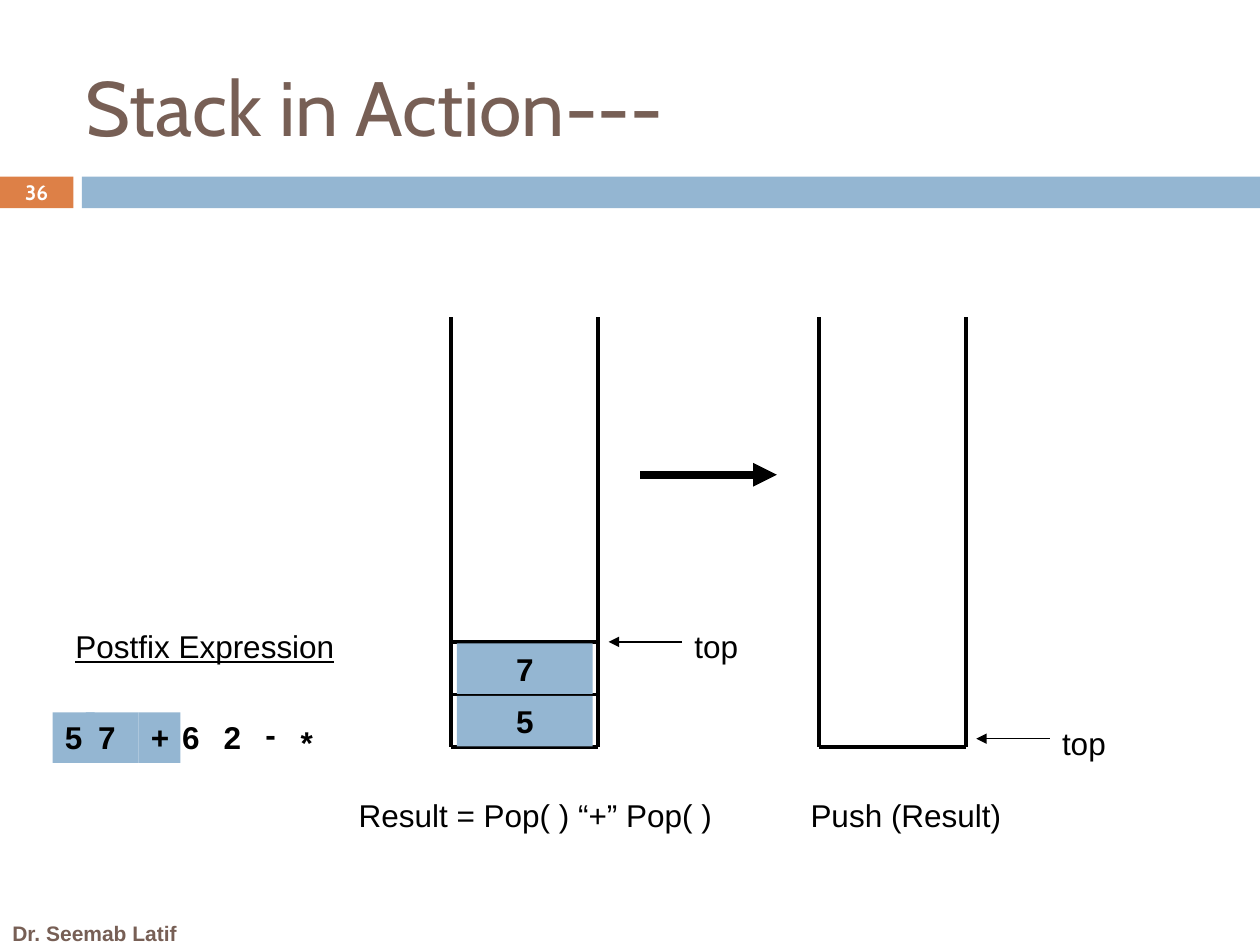
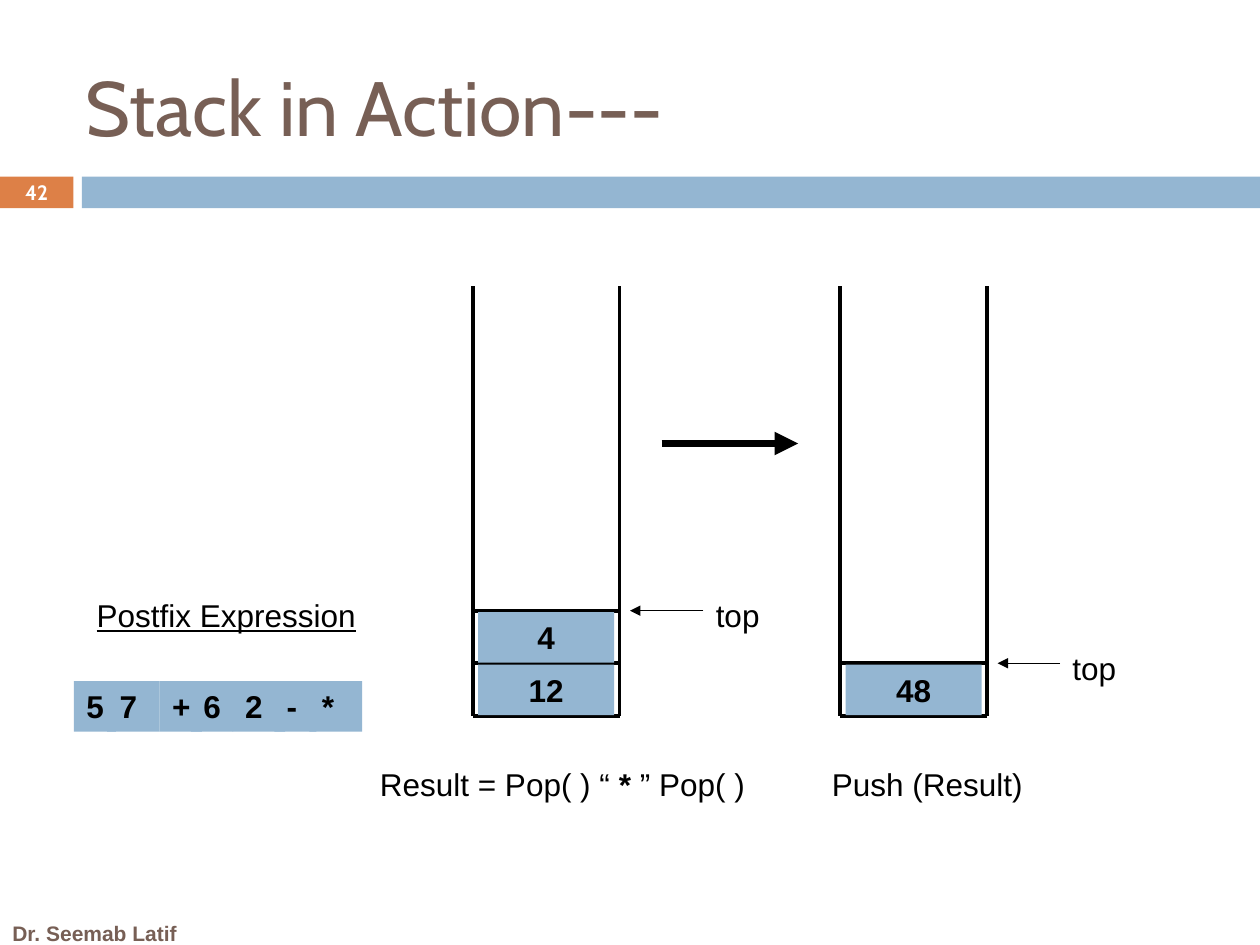
from lxml import etree
from pptx import Presentation
from pptx.dml.color import RGBColor
from pptx.enum import shapes, text
from pptx.oxml.ns import qn
from pptx.util import Cm, Pt

BLUE = RGBColor(0x94, 0xB6, 0xD2)
ORANGE = RGBColor(0xDD, 0x80, 0x47)
BROWN = RGBColor(0x77, 0x5F, 0x55)
BLACK = RGBColor(0, 0, 0)
WHITE = RGBColor(255, 255, 255)

# Content: origin is the bottom left corner of the left stack, in cm;
# result holds (text, bold) runs, stacks list their values from the bottom up
TITLE = "Stack in Action---"
AUTHOR = "Dr. Seemab Latif"
STEPS = [
    {
        "number": 36,
        "origin": (9.1, 15.06),
        "tokens_read": 3,
        "token_drops": {"-": -0.07, "*": 0.1},
        "result": [("Result = Pop( ) “+” Pop( )", False)],
        "left_stack": ["5", "7"],
        "right_stack": [],
        "right_label_gap": 1.69,
    },
    {
        "number": 42,
        "origin": (9.53, 14.43),
        "tokens_read": 7,
        "token_drops": {},
        "result": [("Result = Pop( ) “ ", False), ("*", True), (" ” Pop( )", False)],
        "left_stack": ["12", "4"],
        "right_stack": ["48"],
        "right_label_gap": 1.47,
    },
]
# Symbol, distance from the first token, width
TOKENS = [("5", 0, 0.85), ("7", 0.67, 1.06), ("+", 1.73, 0.85), ("6", 2.36, 0.85),
          ("2", 3.2, 1.06), ("-", 4.04, 0.85), ("*", 4.75, 1.06)]

# Measures in cm
STACK_WIDTH, STACK_HEIGHT = 2.96, 8.66
STACK_STEP = 7.41
CELL_PITCH, CELL_MARGIN = 1.06, 0.11
LINE_HEIGHT = 1.02
LEFT_LABEL_GAP = 1.69


def set_font(paragraph, size, color, name="Arial", bold=False):
    font = paragraph.font
    font.size, font.name, font.bold = Pt(size), name, bold
    font.color.rgb = color


def add_box(slide, left, top, width, height, fill):
    box = slide.shapes.add_shape(shapes.MSO_SHAPE.RECTANGLE,
                                 Cm(left), Cm(top), Cm(width), Cm(height))
    box.shadow.inherit = False
    box.fill.solid()
    box.fill.fore_color.rgb = fill
    box.line.fill.background()
    return box


def add_text(slide, left, top, width, runs, fill=None, bold=False, centered=False):
    """Add one line of 18 pt text, on a filled box if a fill is given."""
    if fill is None:
        box = slide.shapes.add_textbox(Cm(left), Cm(top), Cm(width), Cm(LINE_HEIGHT))
    else:
        box = add_box(slide, left, top, width, LINE_HEIGHT, fill)
    frame = box.text_frame
    frame.word_wrap = True
    frame.vertical_anchor = text.MSO_ANCHOR.TOP
    paragraph = frame.paragraphs[0]
    paragraph.alignment = text.PP_ALIGN.CENTER if centered else text.PP_ALIGN.LEFT
    if isinstance(runs, str):
        paragraph.text = runs
    else:
        for words, is_bold in runs:
            run = paragraph.add_run()
            run.text, run.font.bold = words, is_bold
    set_font(paragraph, 18, BLACK, bold=bold)
    return paragraph


def add_line(slide, x1, y1, x2, y2, weight=2.25, arrow=False):
    line = slide.shapes.add_connector(shapes.MSO_CONNECTOR.STRAIGHT,
                                      Cm(x1), Cm(y1), Cm(x2), Cm(y2))
    line.line.color.rgb = BLACK
    line.line.width = Pt(weight)
    if arrow:
        etree.SubElement(line.line._get_or_add_ln(), qn("a:tailEnd"), type="triangle")
    etree.SubElement(line._element.spPr, qn("a:effectLst"))


def add_frame(slide, number):
    """Title, numbered band and author shared by all slides."""
    title = slide.shapes.title
    title.left, title.top, title.width, title.height = Cm(1.47), Cm(1.07), Cm(16.72), Cm(2.13)
    title.text_frame.text = TITLE
    title.text_frame.vertical_anchor = text.MSO_ANCHOR.TOP
    paragraph = title.text_frame.paragraphs[0]
    paragraph.alignment = text.PP_ALIGN.LEFT
    set_font(paragraph, 44, BROWN, "Cabin")

    add_box(slide, 1.65, 3.56, 23.75, 0.64, BLUE)
    badge = add_box(slide, 0, 3.56, 1.48, 0.64, ORANGE).text_frame
    badge.margin_top = badge.margin_bottom = 0
    badge.vertical_anchor = text.MSO_ANCHOR.MIDDLE
    badge.text = str(number)
    badge.paragraphs[0].alignment = text.PP_ALIGN.CENTER
    set_font(badge.paragraphs[0], 11.9, WHITE, "Cabin", bold=True)

    author = slide.shapes.add_textbox(0, Cm(18.57), Cm(4.65), Cm(0.48)).text_frame
    author.word_wrap = True
    author.margin_top = author.margin_bottom = 0
    author.vertical_anchor = text.MSO_ANCHOR.MIDDLE
    author.text = AUTHOR
    set_font(author.paragraphs[0], 12, BROWN, bold=True)


def add_stack(slide, left, bottom, values, label_gap):
    right = left + STACK_WIDTH
    for x in (left, right):
        add_line(slide, x, bottom - STACK_HEIGHT, x, bottom)
    add_line(slide, left, bottom, right, bottom)

    # Cells
    for index, value in enumerate(values, start=1):
        cell_top = bottom - index * CELL_PITCH
        add_line(slide, left, cell_top, right, cell_top)
        add_text(slide, left + CELL_MARGIN, cell_top + 0.03, STACK_WIDTH - 2 * CELL_MARGIN,
                 value, fill=BLUE, bold=True, centered=True)

    # Pointer to the top, just above the floor of an empty stack
    level = bottom - max(len(values) * CELL_PITCH, 0.17)
    add_text(slide, right + label_gap, level - 0.42, 3.2, "top")
    add_line(slide, right + label_gap, level, right + 0.21, level, 0.75, arrow=True)


def add_step(slide, step):
    left, bottom = step["origin"]
    add_frame(slide, step["number"])

    # Stacks and the arrow between them
    add_stack(slide, left, bottom, step["left_stack"], LEFT_LABEL_GAP)
    add_stack(slide, left + STACK_STEP, bottom, step["right_stack"], step["right_label_gap"])
    arrow_y = bottom - 5.49
    add_line(slide, left + 3.81, arrow_y, left + 6.56, arrow_y, 4.5, arrow=True)

    # Postfix expression, with the tokens read so far highlighted
    heading = add_text(slide, left - 7.83, bottom - 2.54, 6.99, "Postfix Expression")
    heading.font.underline = True
    for index, (symbol, offset, width) in enumerate(TOKENS):
        add_text(slide, left - 8.04 + offset, bottom - 0.7 + step["token_drops"].get(symbol, 0),
                 width, symbol, fill=BLUE if index < step["tokens_read"] else None, bold=True)

    # Operations
    add_text(slide, left - 2.12, bottom + 0.86, 8.46, step["result"])
    add_text(slide, left + 6.99, bottom + 0.86, 6.99, "Push (Result)")


def main():
    presentation = Presentation()
    presentation.slide_width, presentation.slide_height = Cm(25.4), Cm(19.05)
    title_only = presentation.slide_layouts[5]
    for step in STEPS:
        add_step(presentation.slides.add_slide(title_only), step)
    presentation.save("out.pptx")


if __name__ == "__main__":
    main()
